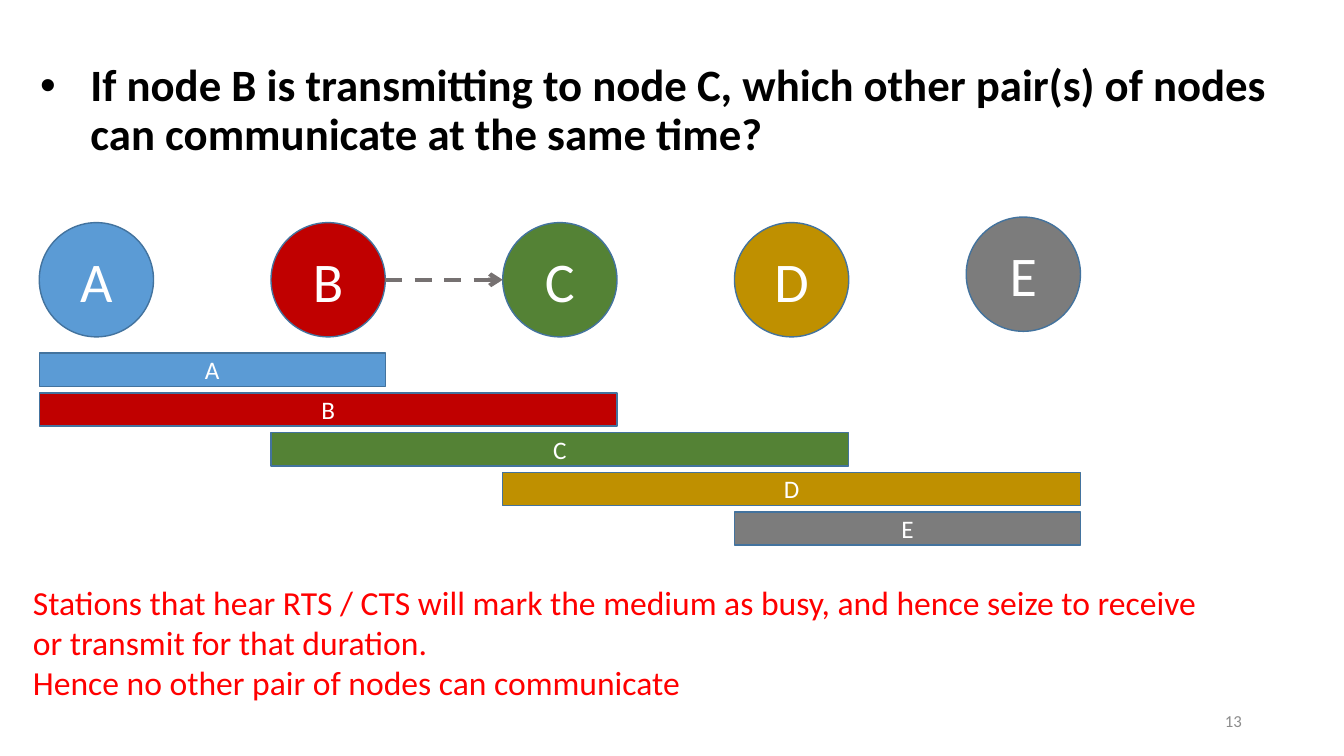
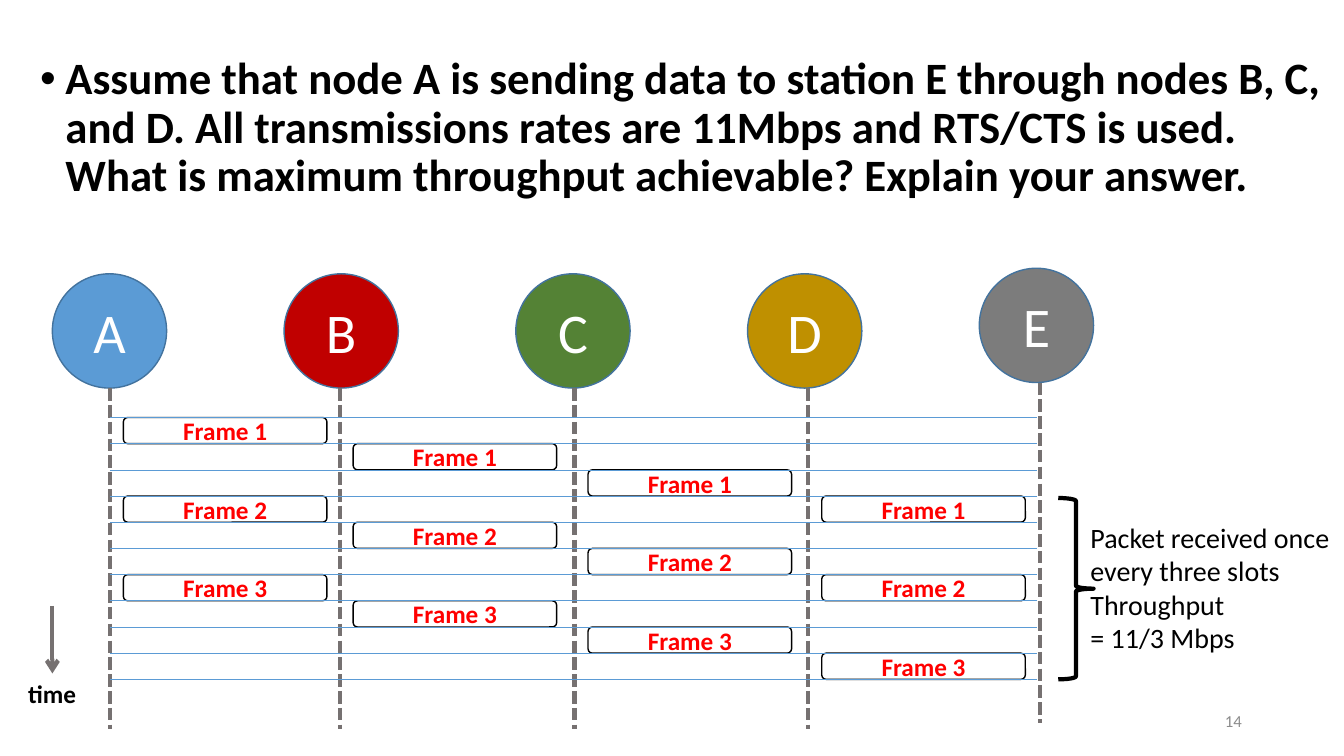
from dataclasses import dataclass

import lxml.etree
import pptx
import pptx.dml.color
import pptx.enum.dml
import pptx.enum.shapes
import pptx.enum.text
import pptx.oxml.ns
import pptx.shapes.autoshape
import pptx.shapes.connector
import pptx.slide
import pptx.text.text
import pptx.util

Cm = pptx.util.Cm
Shapes = pptx.enum.shapes.MSO_SHAPE
Align = pptx.enum.text.PP_ALIGN
Anchor = pptx.enum.text.MSO_ANCHOR
Dash = pptx.enum.dml.MSO_LINE

FONT = "Calibri"
COLORS = {
    "black": "000000", "white": "FFFFFF", "red": "FF0000",
    "number": "8C8C8C", "outline": "43739E", "line": "767171",
    "slot": "5B9BD5",
}


@dataclass(frozen=True)
class TextStyle:
    size: int
    color: str = "black"
    bold: bool = False
    alignment: Align = Align.LEFT
    anchor: Anchor = Anchor.TOP
    wrap: bool = True


@dataclass(frozen=True)
class Box:
    """A rectangle in centimetres."""
    left: float
    top: float
    width: float
    height: float


@dataclass(frozen=True)
class Node:
    name: str
    color: str
    first_heard: int
    last_heard: int
    lift: float = 0


NODES = (
    Node("A", "5B9BD5", 0, 1),
    Node("B", "C00000", 0, 2),
    Node("C", "548235", 1, 3),
    Node("D", "BF9000", 2, 4),
    Node("E", "7C7C7C", 3, 4, lift=0.14),
)
NODE_SIZE = 2.88
NODE_PITCH = 5.84

TITLE = TextStyle(32, bold=True, anchor=Anchor.MIDDLE)
NUMBER = TextStyle(12, "number", alignment=Align.RIGHT, anchor=Anchor.MIDDLE)
NODE_LABEL = TextStyle(40, "white", alignment=Align.CENTER, anchor=Anchor.MIDDLE)
BAR_LABEL = TextStyle(18, "white", alignment=Align.CENTER, anchor=Anchor.MIDDLE)
FRAME_LABEL = TextStyle(18, "red", True, Align.CENTER, Anchor.MIDDLE)
ANSWER = TextStyle(24, "red")
TIME = TextStyle(18, bold=True, wrap=False)
REMARK = TextStyle(20, wrap=False)


def rgb(value: str) -> pptx.dml.color.RGBColor:
    return pptx.dml.color.RGBColor.from_string(value)


def write(frame: pptx.text.text.TextFrame, lines: list[str], style: TextStyle) -> None:
    frame.text = "\n".join(lines)
    frame.word_wrap = style.wrap
    frame.vertical_anchor = style.anchor
    for paragraph in frame.paragraphs:
        paragraph.alignment = style.alignment
        paragraph.font.name = FONT
        paragraph.font.size = pptx.util.Pt(style.size)
        paragraph.font.bold = style.bold
        paragraph.font.color.rgb = rgb(COLORS[style.color])


def add_text(slide: pptx.slide.Slide, box: Box, lines: list[str],
             style: TextStyle) -> pptx.text.text.TextFrame:
    shape = slide.shapes.add_textbox(
        Cm(box.left), Cm(box.top), Cm(box.width), Cm(box.height))
    write(shape.text_frame, lines, style)
    return shape.text_frame


def add_shape(slide: pptx.slide.Slide, kind: Shapes, box: Box, outline: str,
              fill: str | None = None, width: float = 1,
              ) -> pptx.shapes.autoshape.Shape:
    shape = slide.shapes.add_shape(
        kind, Cm(box.left), Cm(box.top), Cm(box.width), Cm(box.height))
    shape.shadow.inherit = False
    if fill:
        shape.fill.solid()
        shape.fill.fore_color.rgb = rgb(fill)
    else:
        shape.fill.background()
    shape.line.color.rgb = rgb(COLORS[outline])
    shape.line.width = pptx.util.Pt(width)
    frame = shape.text_frame
    frame.margin_left = frame.margin_right = 0
    frame.margin_top = frame.margin_bottom = 0
    return shape


def add_line(slide: pptx.slide.Slide, start: tuple[float, float],
             end: tuple[float, float], color: str = "line", width: float = 3,
             dash: Dash | None = None, arrow: bool = False) -> None:
    connector = slide.shapes.add_connector(
        pptx.enum.shapes.MSO_CONNECTOR.STRAIGHT,
        Cm(start[0]), Cm(start[1]), Cm(end[0]), Cm(end[1]))
    connector.line.color.rgb = rgb(COLORS[color])
    connector.line.width = pptx.util.Pt(width)
    if dash is not None:
        connector.line.dash_style = dash
    qn = pptx.oxml.ns.qn
    properties = connector.element.spPr
    if arrow:
        outline = properties.find(qn("a:ln"))
        lxml.etree.SubElement(outline, qn("a:tailEnd"), type="arrow")
    lxml.etree.SubElement(properties, qn("a:effectLst"))


def add_question_slide(presentation, number: int, question: str, height: float,
                       indent: float, space_before: float) -> pptx.slide.Slide:
    """Add a slide with a bulleted question as title and its slide number."""
    slide = presentation.slides.add_slide(presentation.slide_layouts[6])
    frame = add_text(slide, Box(0.76, 0.69, 33.1, height), [question], TITLE)
    paragraph = frame.paragraphs[0]
    paragraph.line_spacing = 0.9
    paragraph.space_before = pptx.util.Pt(space_before)
    properties = paragraph._p.get_or_add_pPr()
    properties.set("marL", str(Cm(indent)))
    properties.set("indent", str(-Cm(indent)))
    qn = pptx.oxml.ns.qn
    bullet_font = lxml.etree.Element(qn("a:buFont"), typeface="Arial")
    bullet = lxml.etree.Element(qn("a:buChar"), char="•")
    default_font = properties.find(qn("a:defRPr"))
    default_font.addprevious(bullet_font)
    default_font.addprevious(bullet)
    add_text(slide, Box(23.93, 17.65, 7.62, 1.02), [str(number)], NUMBER)
    return slide


def add_nodes(slide: pptx.slide.Slide, left: float, top: float) -> None:
    for index, node in enumerate(NODES):
        box = Box(left + index * NODE_PITCH, top - node.lift, NODE_SIZE, NODE_SIZE)
        circle = add_shape(slide, Shapes.OVAL, box, "outline", node.color)
        write(circle.text_frame, [node.name], NODE_LABEL)


def build_range_slide(presentation) -> None:
    slide = add_question_slide(
        presentation, 13,
        "If node B is transmitting to node C, which other pair(s) of nodes "
        "can communicate at the same time?",
        height=4.24, indent=1.27, space_before=0)
    left, top = 0.99, 5.61
    add_nodes(slide, left, top)

    # Bars spanning the nodes that hear each sender
    for row, node in enumerate(NODES):
        width = (node.last_heard - node.first_heard) * NODE_PITCH + NODE_SIZE
        box = Box(left + node.first_heard * NODE_PITCH, 8.9 + row, width, 0.84)
        bar = add_shape(slide, Shapes.RECTANGLE, box, "outline", node.color)
        write(bar.text_frame, [node.name], BAR_LABEL)

    # Answer and the transmission from B to C
    add_text(slide, Box(0.58, 14.53, 29.97, 3.33), [
        "Stations that hear RTS / CTS will mark the medium as busy, and hence "
        "seize to receive or transmit for that duration.",
        "Hence no other pair of nodes can communicate",
    ], ANSWER)
    middle = top + NODE_SIZE / 2
    add_line(slide, (left + NODE_PITCH + NODE_SIZE, middle),
             (left + 2 * NODE_PITCH, middle), dash=Dash.DASH, arrow=True)


def build_timing_slide(presentation) -> None:
    slide = add_question_slide(
        presentation, 14,
        "Assume that node A is sending data to station E through nodes B, C, "
        "and D. All transmissions rates are 11Mbps and RTS/CTS is used. "
        "What is maximum throughput achievable? Explain your answer.",
        height=5.11, indent=0.64, space_before=10)
    top = 6.9
    add_nodes(slide, 1.32, top)

    # Lifelines below the nodes
    lifelines = (2.77, 8.56, 14.48, 20.37, 26.21)
    for node, x in zip(NODES, lifelines):
        start = top + NODE_SIZE - node.lift
        add_line(slide, (x, start), (x, start + 8.59), dash=Dash.SQUARE_DOT)

    # Time axis
    add_text(slide, Box(0.46, 16.97, 1.73, 1.02), ["time"], TIME)
    add_line(slide, (1.32, 15.27), (1.32, 16.97), arrow=True)

    # Each frame moves one hop per slot; a new one starts every three slots
    first_slot, slot_height, slot_count, reuse = 10.52, 0.66, 10, 3
    for frame_index in range(3):
        for hop, x in enumerate(lifelines[:-1]):
            slot = reuse * frame_index + hop
            box = Box(x + 0.34, first_slot + slot * slot_height, 5.13, slot_height)
            block = add_shape(slide, Shapes.ROUNDED_RECTANGLE, box, "black")
            write(block.text_frame, [f"Frame {frame_index + 1}"], FRAME_LABEL)
    for slot in range(slot_count + 1):
        y = first_slot + slot * slot_height
        add_line(slide, (lifelines[0], y), (26.13, y), "slot", 0.5)

    # Throughput remark
    brace = Box(26.67, 12.55, 0.89, 4.57)
    add_shape(slide, Shapes.RIGHT_BRACE, brace, "black", width=3)
    add_text(slide, Box(27.23, 12.98, 6.76, 3.68), [
        "Packet received once", "every three slots", "Throughput", "= 11/3 Mbps",
    ], REMARK)


def main() -> None:
    presentation = pptx.Presentation()
    presentation.slide_width = Cm(33.87)
    presentation.slide_height = Cm(19.05)
    build_range_slide(presentation)
    build_timing_slide(presentation)
    presentation.save("out.pptx")


if __name__ == "__main__":
    main()
